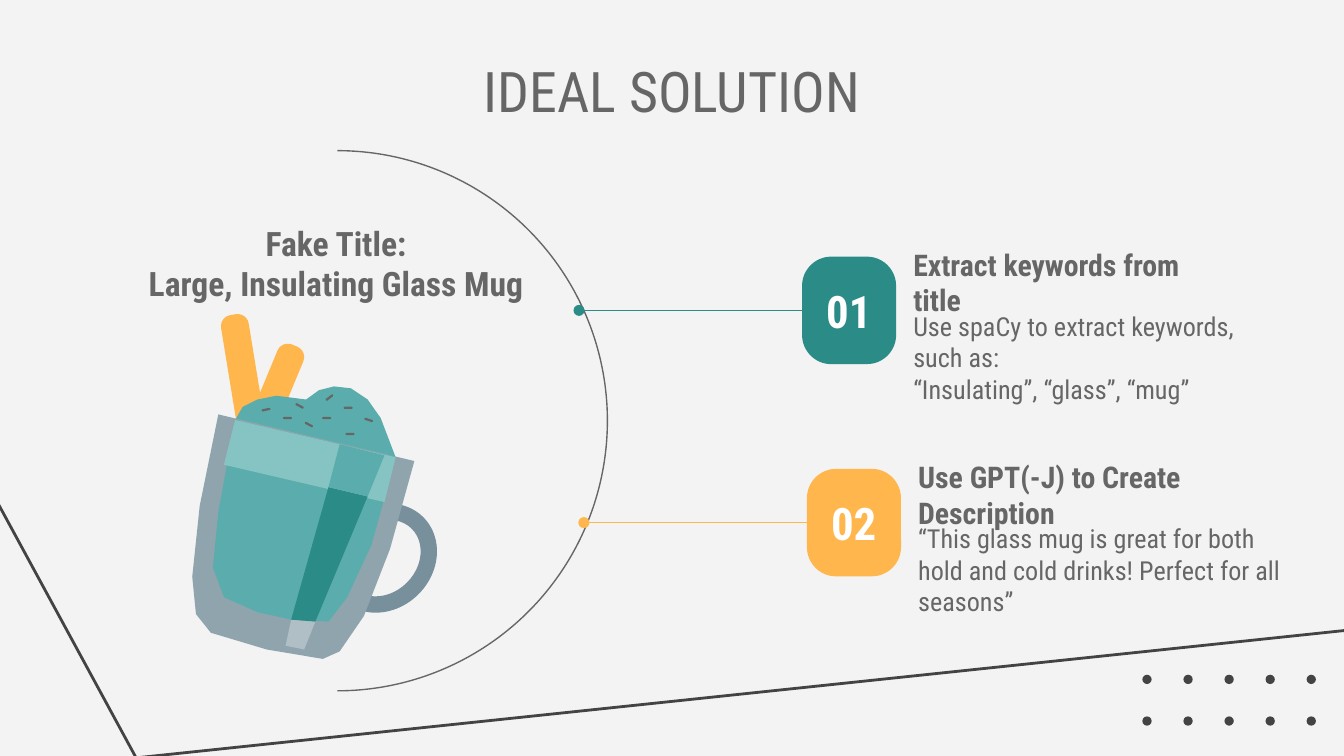
"""Build the Ideal Solution slide with a glass mug and two numbered steps."""
from pptx import Presentation
from pptx.dml.color import RGBColor
from pptx.enum.shapes import MSO_CONNECTOR, MSO_SHAPE
from pptx.enum.text import MSO_ANCHOR, PP_ALIGN
from pptx.oxml.ns import qn
from pptx.util import Pt
from lxml import etree

LEFT, CENTER = PP_ALIGN.LEFT, PP_ALIGN.CENTER
TOP, MIDDLE = MSO_ANCHOR.TOP, MSO_ANCHOR.MIDDLE
STRAIGHT = MSO_CONNECTOR.STRAIGHT
ARC, DONUT = MSO_SHAPE.ARC, MSO_SHAPE.DONUT
OVAL, ROUNDED = MSO_SHAPE.OVAL, MSO_SHAPE.ROUNDED_RECTANGLE

FONT = "Roboto Condensed"
PAPER = RGBColor.from_string("F3F3F3")
WHITE = RGBColor.from_string("FFFFFF")
GRAY = RGBColor.from_string("666666")
CHARCOAL = RGBColor.from_string("434343")
TEAL = RGBColor.from_string("2B8B87")
AMBER = RGBColor.from_string("FFB74D")
DRINK = RGBColor.from_string("5AADAC")
DRINK_LIGHT = RGBColor.from_string("86C4C4")
HANDLE = RGBColor.from_string("78909C")
GLASS = RGBColor.from_string("90A4AE")
GLASS_LIGHT = RGBColor.from_string("B0BEC5")

presentation = Presentation()
presentation.slide_width = Pt(720)
presentation.slide_height = Pt(405)
slide = presentation.slides.add_slide(presentation.slide_layouts[6])
slide.background.fill.solid()
slide.background.fill.fore_color.rgb = PAPER
shapes = slide.shapes


def add_text(text, left, top, width, height, size, color=GRAY, bold=False,
             align=LEFT, anchor=MIDDLE, space_after=0):
    frame = shapes.add_textbox(Pt(left), Pt(top), Pt(width), Pt(height)).text_frame
    frame.word_wrap = True
    frame.vertical_anchor = anchor
    frame.margin_left = frame.margin_right = Pt(7.2)
    frame.margin_top = frame.margin_bottom = Pt(7.2)
    frame.text = text
    for paragraph in frame.paragraphs:
        paragraph.alignment = align
        paragraph.space_after = Pt(space_after)
        for run in paragraph.runs:
            run.font.name = FONT
            run.font.size = Pt(size)
            run.font.bold = bold
            run.font.color.rgb = color


def paint(shape, fill=None, line=None, weight=0.75):
    shape.shadow.inherit = False
    if fill is None:
        shape.fill.background()
    else:
        shape.fill.solid()
        shape.fill.fore_color.rgb = fill
    if line is None:
        shape.line.fill.background()
    else:
        shape.line.color.rgb = line
        shape.line.width = Pt(weight)


for row in range(2):
    for column in range(5):
        dot = shapes.add_shape(OVAL, Pt(612 + 22 * column), Pt(361.5 + 22.3 * row), Pt(5), Pt(5))
        paint(dot, fill=CHARCOAL)

builder = shapes.build_freeform(-9, 255, scale=Pt(1))
builder.add_line_segments([(73, 406), (728, 337)], close=False)
paint(builder.convert_to_shape(), line=CHARCOAL, weight=1.5)

add_text("IDEAL SOLUTION", 36, 23, 648, 47, 30, align=CENTER, anchor=TOP)

arc = shapes.add_shape(ARC, Pt(36), Pt(80.7), Pt(289.4), Pt(289.4))
arc.adjustments[0] = 162
arc.adjustments[1] = 54
paint(arc, line=GRAY)

steps = [
    ("01", "Extract keywords from title",
     "Use spaCy to extract keywords, such as:\n“Insulating”, “glass”, “mug”",
     TEAL, 429.7, 137.5, 180, 202),
    ("02", "Use GPT(-J) to Create Description",
     "“This glass mug is great for both hold and cold drinks! Perfect for all seasons”",
     AMBER, 432.3, 251.2, 225, 214),
]
for number, heading, body, color, left, top, heading_width, body_width in steps:
    badge = shapes.add_shape(ROUNDED, Pt(left), Pt(top), Pt(50.4), Pt(57.6))
    badge.adjustments[0] = 0.31
    paint(badge, fill=color)
    middle = Pt(top + 28.8)
    connector = shapes.add_connector(STRAIGHT, Pt(left), middle, Pt(left - 119.5), middle)
    connector.begin_connect(badge, 1)
    connector.line.color.rgb = color
    connector.line.width = Pt(0.75)
    etree.SubElement(connector.line._get_or_add_ln(), qn("a:tailEnd"), type="oval")
    etree.SubElement(connector._element.spPr, qn("a:effectLst"))
    add_text(number, left + 4.6, top + 9.7, 41, 38, 24, color=WHITE, bold=True, align=CENTER)
    add_text(heading, left + 52.5, top + 5, heading_width, 17.3, 16, bold=True)
    add_text(body, left + 52.5, top + 22.3, body_width, 63.5, 14)

for center_x, center_y, length, angle in [(139.5, 229.5, 96, 22.5), (133.2, 219.4, 103, -9.3)]:
    stick = shapes.add_shape(ROUNDED, Pt(center_x - 7.5), Pt(center_y - length / 2),
                             Pt(15), Pt(length))
    stick.adjustments[0] = 0.4
    stick.rotation = angle
    paint(stick, fill=AMBER)

handle = shapes.add_shape(DONUT, Pt(177.5), Pt(268), Pt(54.7), Pt(62))
handle.adjustments[0] = 0.16
handle.rotation = 45
paint(handle, fill=HANDLE)

rim_left, rim_right = (126, 224.6), (211.7, 244.8)
band_left, band_right = (120.2, 249.1), (205.9, 268.6)
stripe_left, stripe_right = (175.7, 261.4), (196.6, 266.4)
base_left, base_right = (156.2, 331.9), (169.2, 333.4)
mug_parts = [
    (DRINK, [rim_left, (130, 218), (138, 214), (148, 212.4), (164, 213.8), (171, 209),
             (179, 206.6), (188, 208), (197, 214), (204, 224), rim_right]),
    (GLASS, [(116.6, 222.5), (106.6, 271), (103, 309), (105, 329), (113, 339),
             (143, 348.5), (173, 352.8), (182, 349), (195, 330), (209, 294), (221.8, 247)]),
    (DRINK, [rim_left, (116.6, 273.6), (114.5, 304), (119.5, 320), (137.5, 327.6),
             base_left, (175.7, 333.4), (186.5, 320.4), (199.4, 292.3), rim_right]),
    (DRINK_LIGHT, [rim_left, band_left, band_right, rim_right]),
    (GLASS_LIGHT, [base_left, (152.6, 346.3), (162.7, 348.5), base_right]),
    (TEAL, [stripe_left, base_left, base_right, stripe_right]),
    (DRINK, [(182.2, 238.3), stripe_left, stripe_right, (205.9, 244.1)]),
]
for color, outline in mug_parts:
    builder = shapes.build_freeform(*outline[0], scale=Pt(1))
    builder.add_line_segments(outline[1:])
    paint(builder.convert_to_shape(), fill=color)

sprinkles = [(154, 224, 0), (175, 224, 0), (186.5, 218.5, 0), (187.5, 232.5, 0),
             (165.5, 227.5, 28), (160.5, 217.5, 28), (176.5, 213, -38),
             (142.5, 219.5, -12), (197.5, 225, 18)]
for center_x, center_y, angle in sprinkles:
    sprinkle = shapes.add_shape(ROUNDED, Pt(center_x - 2.4), Pt(center_y - 0.6), Pt(4.8), Pt(1.2))
    sprinkle.adjustments[0] = 0.5
    sprinkle.rotation = angle
    paint(sprinkle, fill=GRAY)

add_text("Fake Title:\vLarge, Insulating Glass Mug", 58.3, 112.3, 243.4, 62, 18,
         bold=True, align=CENTER, anchor=TOP, space_after=16)

presentation.save("out.pptx")
